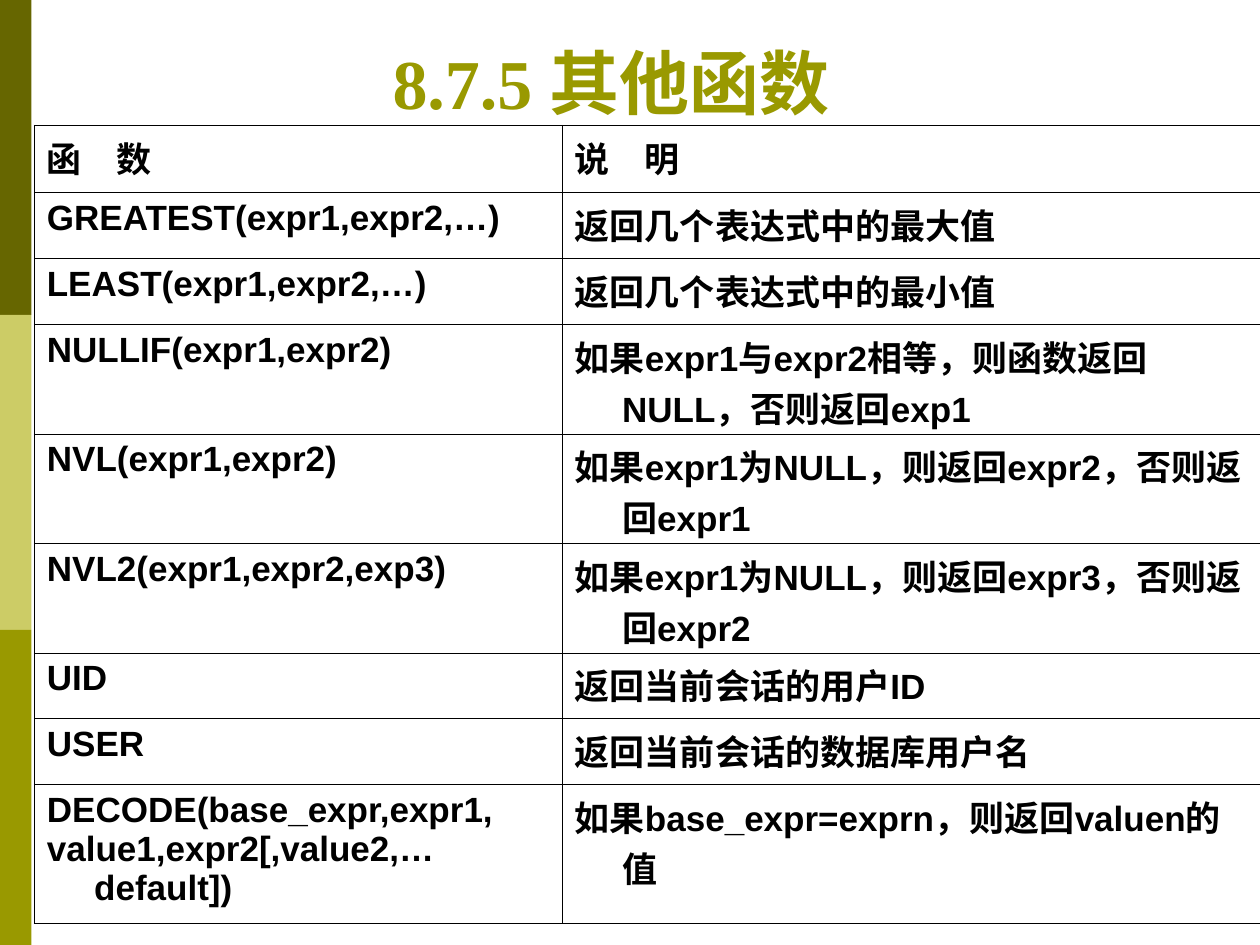
from typing import NamedTuple

from lxml import etree
from pptx import Presentation
from pptx.dml.color import RGBColor
from pptx.enum.shapes import MSO_SHAPE
from pptx.enum.text import MSO_ANCHOR, PP_ALIGN
from pptx.oxml.ns import qn
from pptx.util import Pt

RECT = MSO_SHAPE.RECTANGLE
BOTTOM = MSO_ANCHOR.BOTTOM
LEFT, CENTER = PP_ALIGN.LEFT, PP_ALIGN.CENTER

COLORS = {
    "dark": "666600",
    "light": "CCCC66",
    "olive": "999900",
    "black": "000000",
    "white": "FFFFFF",
}
BAND_W, BAND_H = 18, 180
HANGING = 27
BORDER = 0.45
COL_WIDTHS = (301.7, 402.5)
SHORT, TALL = 37.7, 62.6


class Row(NamedTuple):
    """One table row: function, explanation and height in points."""
    function: str
    meaning: str
    height: float = SHORT


ROWS = [
    Row("函\u3000数", "说\u3000明", 38.5),
    Row("GREATEST(expr1,expr2,…)", "返回几个表达式中的最大值"),
    Row("LEAST(expr1,expr2,…)", "返回几个表达式中的最小值"),
    Row("NULLIF(expr1,expr2)", "如果expr1与expr2相等，则函数返回NULL，否则返回exp1", TALL),
    Row("NVL(expr1,expr2)", "如果expr1为NULL，则返回expr2，否则返回expr1", TALL),
    Row("NVL2(expr1,expr2,exp3)", "如果expr1为NULL，则返回expr3，否则返回expr2", TALL),
    Row("UID", "返回当前会话的用户ID"),
    Row("USER", "返回当前会话的数据库用户名"),
    Row("DECODE(base_expr,expr1,\nvalue1,expr2[,value2,…default])",
        "如果base_expr=exprn，则返回valuen的值", 79.2),
]


def rgb(name: str) -> RGBColor:
    """Return a named colour."""
    return RGBColor.from_string(COLORS[name])


def write(tf, text: str, *, size: float = 20, font: str = "Arial",
          color: str = "black", align=LEFT, hanging: float = 0) -> None:
    """Fill a text frame with bold text, one paragraph for each line."""
    tf.word_wrap = True
    for i, line in enumerate(text.split("\n")):
        p = tf.add_paragraph() if i else tf.paragraphs[0]
        p.alignment = align
        if hanging:
            pPr = p._p.get_or_add_pPr()
            pPr.set("marL", str(Pt(hanging)))
            pPr.set("indent", str(-Pt(hanging)))
        r = p.add_run()
        r.text = line
        r.font.size = Pt(size)
        r.font.name = font
        r.font.bold = True
        r.font.color.rgb = rgb(color)


def add_band(s, index: int, color: str) -> None:
    """Draw one block of the left-hand stripe."""
    sp = s.shapes.add_shape(RECT, 0, Pt(index * BAND_H), Pt(BAND_W), Pt(BAND_H))
    sp.shadow.inherit = False
    sp.fill.solid()
    sp.fill.fore_color.rgb = rgb(color)
    sp.line.fill.background()


def add_title(s, text: str) -> None:
    """Add the centred slide heading."""
    tf = s.shapes.add_textbox(Pt(25.2), 0, Pt(648), Pt(74.2)).text_frame
    tf.vertical_anchor = BOTTOM
    write(tf, text, size=40, font="Times New Roman", color="olive", align=CENTER)


def format_cell(cell) -> None:
    """Give a cell thin black borders and a white fill."""
    tcPr = cell._tc.get_or_add_tcPr()
    for side in ("lnL", "lnR", "lnT", "lnB"):
        ln = etree.SubElement(tcPr, qn(f"a:{side}"), w=str(Pt(BORDER)))
        fill = etree.SubElement(ln, qn("a:solidFill"))
        etree.SubElement(fill, qn("a:srgbClr"), val=COLORS["black"])
    cell.fill.solid()
    cell.fill.fore_color.rgb = rgb("white")


def add_function_table(s, rows: list[Row]) -> None:
    """Add the table of functions and their explanations."""
    tbl = s.shapes.add_table(len(rows), len(COL_WIDTHS), Pt(19.6), Pt(71.5),
                             Pt(sum(COL_WIDTHS)),
                             Pt(sum(row.height for row in rows))).table
    tbl.first_row = tbl.horz_banding = False
    for col, width in zip(tbl.columns, COL_WIDTHS):
        col.width = Pt(width)
    for i, row in enumerate(rows):
        tbl.rows[i].height = Pt(row.height)
        for j, text in enumerate((row.function, row.meaning)):
            cell = tbl.cell(i, j)
            format_cell(cell)
            write(cell.text_frame, text, hanging=HANGING)


def main() -> None:
    """Build and save the slide."""
    prs = Presentation()
    prs.slide_width, prs.slide_height = Pt(720), Pt(540)
    s = prs.slides.add_slide(prs.slide_layouts[6])
    for i, color in enumerate(("dark", "light", "olive")):
        add_band(s, i, color)
    add_title(s, "8.7.5 其他函数")
    add_function_table(s, ROWS)
    prs.save("out.pptx")


main()
